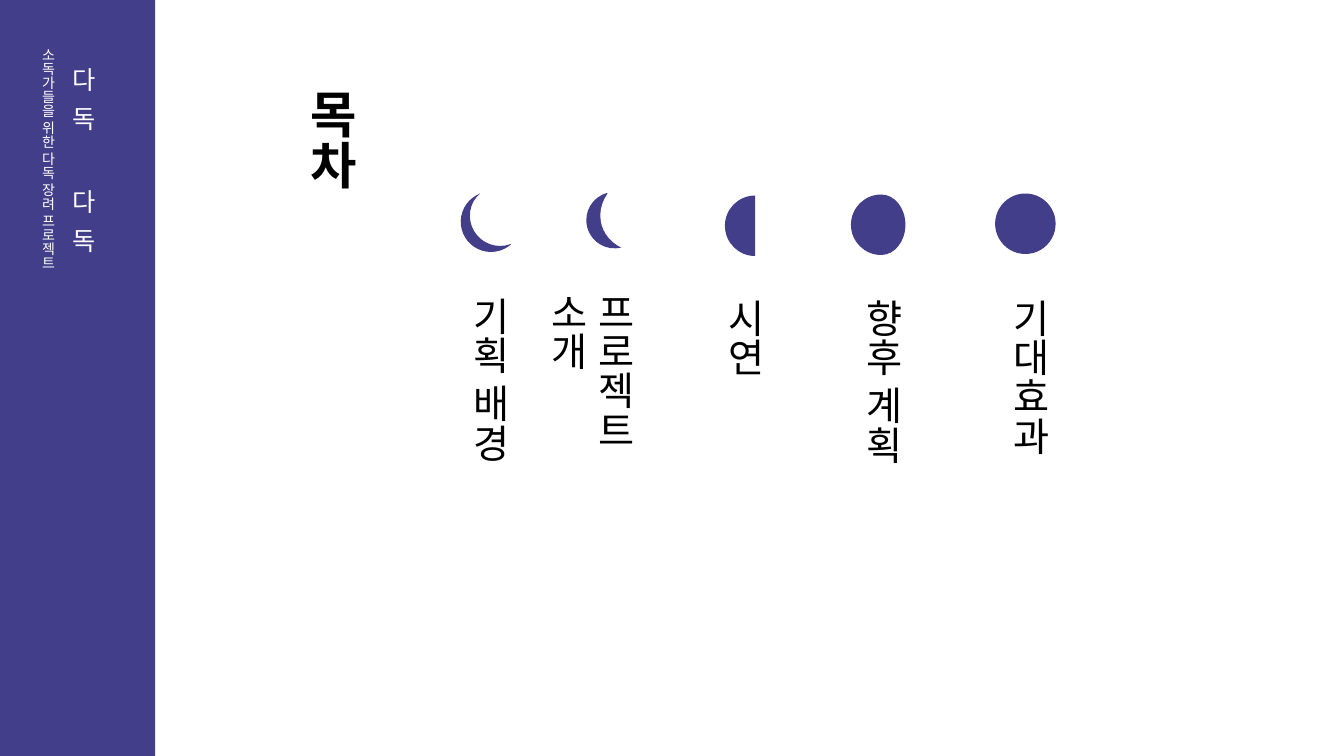
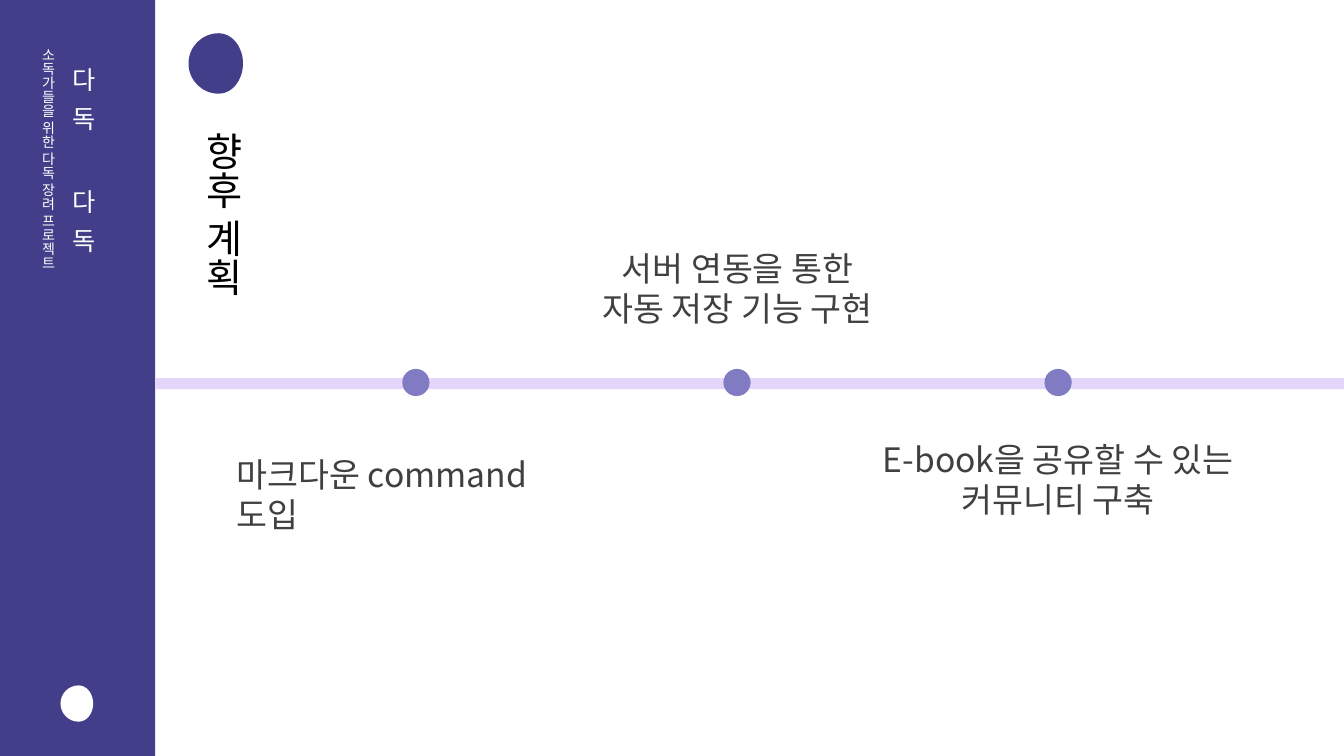
"""Builds a contents slide and a future plans slide with moon phase icons."""
import math
from dataclasses import dataclass

from lxml import etree
from pptx import Presentation
from pptx import util as u
from pptx.dml.color import RGBColor
from pptx.enum import shapes, text
from pptx.oxml.ns import qn

WIDTH, HEIGHT = 13.33, 7.5
BAND = 1.54
FONT = "Noto Sans CJK KR"
INDIGO = RGBColor(0x43, 0x3E, 0x8A)
VIOLET = RGBColor(0x80, 0x7B, 0xC3)
LILAC = RGBColor(0xE4, 0xD5, 0xFB)
WHITE = RGBColor(0xFF, 0xFF, 0xFF)
BLACK = RGBColor(0, 0, 0)
GREY = RGBColor(0x40, 0x40, 0x40)
RECT = shapes.MSO_SHAPE.RECTANGLE
OVAL = shapes.MSO_SHAPE.OVAL
CENTER = text.PP_ALIGN.CENTER
TILT = 345.2
RADIUS = 0.3
GIBBOUS = 0.8
FIRST_STOP, LAST_STOP = 3.99, 10.36
UNITS = 1000


@dataclass(frozen=True)
class Box:
    """A frame in inches."""
    x: float
    y: float
    w: float
    h: float

    def emu(self) -> list:
        """Return the frame as lengths."""
        return [u.Inches(v) for v in (self.x, self.y, self.w, self.h)]


@dataclass(frozen=True)
class Entry:
    """A line of text with its frame."""
    label: str
    box: Box


CONTENTS = [
    Entry("기획 배경", Box(4.47, 2.85, 0.67, 2.72)),
    Entry("프로젝트 소개", Box(5.71, 2.81, 0.67, 2.56)),
    Entry("시연", Box(7, 2.87, 0.67, 3.31)),
    Entry("향후 계획", Box(8.37, 2.87, 0.67, 3.15)),
    Entry("기대효과", Box(9.83, 2.87, 0.67, 3.15)),
]
PLANS = [
    Entry("마크다운 command 도입", Box(2.25, 4.45, 3.76, 0.5)),
    Entry("서버 연동을 통한\n자동 저장 기능 구현", Box(5.8, 2.41, 3.03, 0.91)),
    Entry("E-book을 공유할 수 있는\n커뮤니티 구축", Box(8.33, 4.3, 4.33, 0.91)),
]


def paint(sp, fill: RGBColor, rotation: float = 0) -> None:
    """Give a shape a flat fill without line or shadow."""
    sp.fill.solid()
    sp.fill.fore_color.rgb = fill
    sp.line.fill.background()
    sp.shadow.inherit = False
    sp.rotation = rotation


def add_preset(s, kind, box: Box, fill: RGBColor, rotation: float = 0) -> None:
    """Draw a preset shape."""
    paint(s.shapes.add_shape(kind, *box.emu()), fill, rotation)


def add_text(s, words: str, box: Box, *, size: float, color: RGBColor = BLACK,
             bold: bool = False, align=None, vertical: bool = False,
             spacing: float = 0, tab: float = 0) -> None:
    """Draw a text box with one paragraph per line of words."""
    tf = s.shapes.add_textbox(*box.emu()).text_frame
    tf.word_wrap = True
    tf.auto_size = text.MSO_AUTO_SIZE.SHAPE_TO_FIT_TEXT
    if vertical:
        tf._txBody.bodyPr.set("vert", "eaVert")
    for i, line in enumerate(words.split("\n")):
        p = tf.add_paragraph() if i else tf.paragraphs[0]
        p.alignment = align
        if tab:
            stops = etree.SubElement(p._p.get_or_add_pPr(), qn("a:tabLst"))
            etree.SubElement(stops, qn("a:tab"), pos=str(u.Inches(tab)), algn="l")
        r = p.add_run()
        r.text = line
        r.font.name, r.font.size, r.font.bold = FONT, u.Pt(size), bold
        r.font.color.rgb = color
        rpr = r._r.get_or_add_rPr()
        etree.SubElement(rpr, qn("a:ea"), typeface=FONT)
        if spacing:
            rpr.set("spc", str(round(spacing * 100)))


def arc(cx: float, cy: float, rx: float, ry: float, start: float, end: float) -> list:
    """Return a start point, then three Bezier points per piece of an elliptical arc."""
    pieces = math.ceil(abs(end - start) / 90)
    step = math.radians(end - start) / pieces
    k = 4 / 3 * math.tan(step / 4)
    unit = [(math.cos(math.radians(start)), math.sin(math.radians(start)))]
    for i in range(pieces):
        a = math.radians(start) + i * step
        b = a + step
        unit += [(math.cos(a) - k * math.sin(a), math.sin(a) + k * math.cos(a)),
                 (math.cos(b) + k * math.sin(b), math.sin(b) - k * math.cos(b)),
                 (math.cos(b), math.sin(b))]
    return [(cx + rx * x, cy + ry * y) for x, y in unit]


def add_outline(s, points: list, fill: RGBColor, rotation: float = 0) -> None:
    """Draw a closed outline of Bezier curves."""
    start, *rest = [(x * UNITS, y * UNITS) for x, y in points]
    fb = s.shapes.build_freeform(*start, scale=u.Inches(1) / UNITS)
    fb.add_line_segments(rest, close=True)
    sp = fb.convert_to_shape()
    lines = list(sp._element.iter(qn("a:lnTo")))
    for i in range(0, len(lines), 3):
        curve = etree.Element(qn("a:cubicBezTo"))
        lines[i].addprevious(curve)
        for line in lines[i:i + 3]:
            curve.append(line[0])
            line.getparent().remove(line)
    paint(sp, fill, rotation)


def add_moon(s, cx: float, cy: float, radius: float, bulge: float,
             fill: RGBColor = INDIGO, rotation: float = 0) -> None:
    """Draw a left half disc widened to the right by a share of its radius."""
    left = arc(cx, cy, radius, radius, 90, 270)
    right = arc(cx, cy, radius * bulge, radius, -90, 90)[1:] if bulge else []
    add_outline(s, left + right, fill, rotation)


def add_crescent(s, cx: float, cy: float) -> None:
    """Draw a thin crescent between two arcs."""
    outer = arc(cx, cy, RADIUS, RADIUS, 49, 249)
    inner = arc(cx + 0.09, cy - 0.06, RADIUS, RADIUS, 229, 70)
    add_outline(s, outer + inner[1:], INDIGO)


def add_slide(prs):
    """Add a blank slide with the side band and its vertical title."""
    s = prs.slides.add_slide(prs.slide_layouts[6])
    add_preset(s, RECT, Box(0, 0, BAND, HEIGHT), INDIGO)
    add_text(s, "다 독\t다 독", Box(0.52, 0.57, 0.5, 2.74), size=18, color=WHITE,
             vertical=True, spacing=2.75, tab=1.21)
    add_text(s, "소독가들을 위한 다독 장려 프로젝트", Box(0.24, 0.38, 0.37, 2.49),
             size=10, color=WHITE, align=CENTER, vertical=True)
    return s


def contents_slide(prs) -> None:
    """Build the table of contents."""
    s = add_slide(prs)
    add_text(s, "목차", Box(2.83, 0.79, 0.81, 1.85), size=36, bold=True, vertical=True)
    add_crescent(s, 4.87, 2.2)
    add_moon(s, 6.1, 2.22, 0.28, 0, rotation=TILT)
    add_preset(s, OVAL, Box(5.95, 1.71, 0.94, 0.79), WHITE, TILT)
    add_moon(s, 7.49, 2.24, RADIUS, 0)
    add_moon(s, 8.74, 2.23, RADIUS, GIBBOUS)
    add_preset(s, OVAL, Box(9.87, 1.92, 2 * RADIUS, 2 * RADIUS), INDIGO)
    for entry in CONTENTS:
        add_text(s, entry.label, entry.box, size=28, vertical=True)


def plans_slide(prs) -> None:
    """Build the timeline of future plans."""
    s = add_slide(prs)
    add_moon(s, 2.17, 0.63, RADIUS, GIBBOUS)
    add_moon(s, 0.78, 6.98, RADIUS * 0.6, GIBBOUS, WHITE)
    add_text(s, "향후 계획", Box(1.83, 1.21, 0.67, 3.15), size=28, vertical=True)
    add_preset(s, RECT, Box(BAND, 3.75, WIDTH - BAND, 0.11), LILAC)
    pitch = (LAST_STOP - FIRST_STOP) / (len(PLANS) - 1)
    for i, plan in enumerate(PLANS):
        add_preset(s, OVAL, Box(FIRST_STOP + pitch * i, 3.66, 0.27, 0.27), VIOLET)
        add_text(s, plan.label, plan.box, size=24, color=GREY, align=CENTER if i else None)


def main() -> None:
    """Build and save the presentation."""
    prs = Presentation()
    prs.slide_width, prs.slide_height = u.Inches(WIDTH), u.Inches(HEIGHT)
    contents_slide(prs)
    plans_slide(prs)
    prs.save("out.pptx")


if __name__ == "__main__":
    main()
